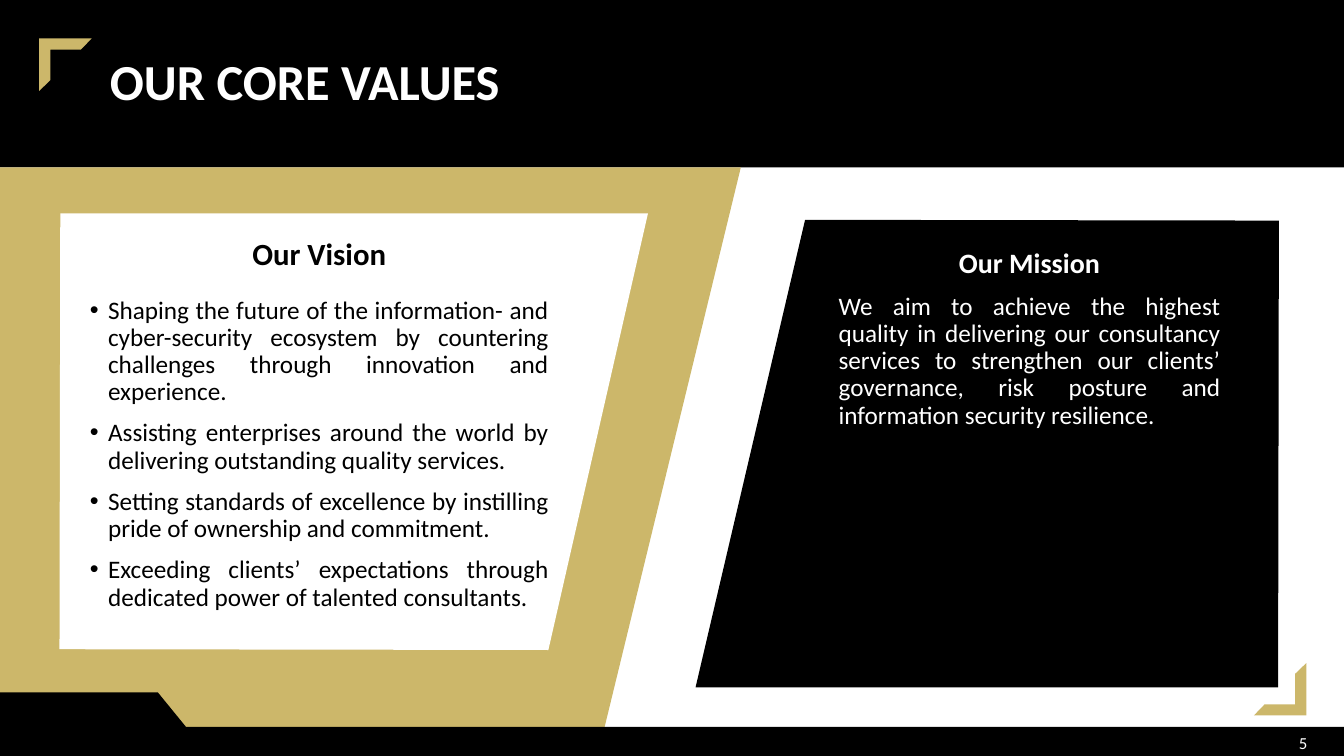
"""Build the core values slide with its vision and mission panels."""
import pptx
import pptx.util
import pptx.dml.color
import pptx.enum.shapes
import pptx.enum.text
from pptx.util import Cm

BLACK = pptx.dml.color.RGBColor(0x00, 0x00, 0x00)
WHITE = pptx.dml.color.RGBColor(0xFF, 0xFF, 0xFF)
GOLD = pptx.dml.color.RGBColor(0xCC, 0xB7, 0x6A)
ALIGN = pptx.enum.text.PP_ALIGN
MIDDLE = pptx.enum.text.MSO_ANCHOR.MIDDLE
WIDTH, HEIGHT, HEADER = 33.87, 19.05, 4.22

prs = pptx.Presentation()
prs.slide_width, prs.slide_height = Cm(WIDTH), Cm(HEIGHT)
s = prs.slides.add_slide(prs.slide_layouts[3])
title, vision, mission = s.placeholders


def add_outline(points, color):
    points = [(Cm(x), Cm(y)) for x, y in points]
    builder = s.shapes.build_freeform(*points[0])
    builder.add_line_segments(points[1:], close=True)
    sp = builder.convert_to_shape()
    sp.shadow.inherit = False
    sp.fill.solid()
    sp.fill.fore_color.rgb = color
    sp.line.fill.background()


def write(p, text, size, color, align, bold=False, before=0, spacing=0.9):
    p.alignment = align
    p.line_spacing = spacing
    p.space_before = pptx.util.Pt(before)
    r = p.add_run()
    r.text = text
    r.font.name = "Calibri"
    r.font.size = pptx.util.Pt(size)
    r.font.bold = bold
    r.font.color.rgb = color


add_outline([(32.21, 17.32), (17.53, 17.32), (20.29, 5.54), (32.23, 5.56)], BLACK)

header = s.shapes.add_shape(pptx.enum.shapes.MSO_SHAPE.RECTANGLE, 0, 0, Cm(WIDTH), Cm(HEADER))
header.shadow.inherit = False
header.fill.solid()
header.fill.fore_color.rgb = BLACK
header.line.fill.background()

add_outline([(0, HEADER), (18.67, HEADER), (15.06, HEIGHT), (0, HEIGHT)], GOLD)
add_outline([(0, 17.45), (3.98, 17.45), (4.69, 18.32), (WIDTH, 18.32),
             (WIDTH, HEIGHT), (0, HEIGHT)], BLACK)
add_outline([(1.52, 5.38), (16.33, 5.38), (13.82, 16.38), (1.5, 16.36)], WHITE)

bracket = [(0, 0), (0, 1.32), (0.28, 1.05), (0.28, 0.28), (1.05, 0.28), (1.32, 0)]
for left, top, sign in [(0.99, 0.97, 1), (32.92, 18.03, -1)]:
    add_outline([(left + sign * x, top + sign * y) for x, y in bracket], GOLD)

for sp, left, top, width, height in [
    (title, 0, 0, WIDTH, HEADER),
    (mission, 20.88, 6.15, 10.13, 9.37),
    (vision, 2.01, 5.89, 12.07, 10.57),
]:
    sp.left, sp.top, sp.width, sp.height = Cm(left), Cm(top), Cm(width), Cm(height)
    sp.text_frame.auto_size = pptx.enum.text.MSO_AUTO_SIZE.NONE
    s.shapes.element.append(sp.element)

tf = title.text_frame
tf.margin_left = Cm(2.77)
tf.vertical_anchor = MIDDLE
write(tf.paragraphs[0], "OUR CORE VALUES", 36, WHITE, ALIGN.LEFT, bold=True)

tf = mission.text_frame
write(tf.paragraphs[0], "Our Mission", 20, WHITE, ALIGN.CENTER, bold=True)
write(tf.add_paragraph(),
      "We aim to achieve the highest quality in delivering our consultancy "
      "services to strengthen our clients’ governance, risk posture and "
      "information security resilience.", 18, WHITE, ALIGN.JUSTIFY, before=10)

tf = vision.text_frame
write(tf.paragraphs[0], "Our Vision", 22, BLACK, ALIGN.CENTER, bold=True)
goals = [
    "Shaping the future of the information- and cyber-security ecosystem by "
    "countering challenges through innovation and experience.",
    "Assisting enterprises around the world by delivering outstanding quality services.",
    "Setting standards of excellence by instilling pride of ownership and commitment.",
    "Exceeding clients’ expectations through dedicated power of talented consultants.",
]
for i, goal in enumerate(goals):
    p = tf.add_paragraph()
    write(p, goal, 18, BLACK, ALIGN.JUSTIFY, before=10 if i else 18)
    pPr = p._p.get_or_add_pPr()
    pPr.set("marL", str(Cm(0.46)))
    pPr.set("indent", str(-Cm(0.46)))

for p in [*mission.text_frame.paragraphs, vision.text_frame.paragraphs[0]]:
    pPr = p._p.get_or_add_pPr()
    pPr.set("marL", "0")
    pPr.set("indent", "0")
    pPr.append(pptx.oxml.parse_xml(
        '<a:buNone xmlns:a="http://schemas.openxmlformats.org/drawingml/2006/main"/>'))

number = s.shapes.add_textbox(Cm(25.58), Cm(18.21), Cm(7.62), Cm(1.02))
tf = number.text_frame
tf.word_wrap = True
tf.vertical_anchor = MIDDLE
write(tf.paragraphs[0], "5", 12, WHITE, ALIGN.RIGHT, spacing=1.0)

prs.save("out.pptx")
